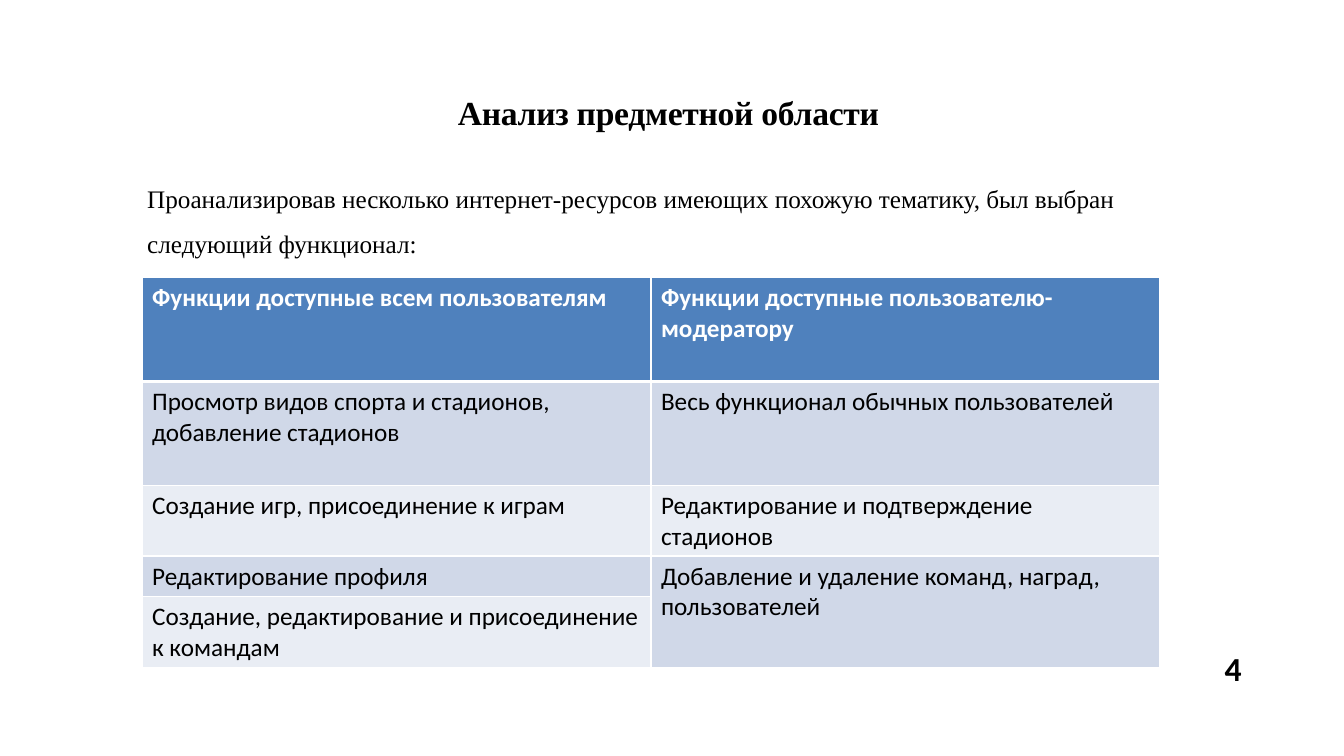
from dataclasses import dataclass

from lxml.etree import SubElement
from pptx import Presentation
from pptx.dml.color import RGBColor as RGB
from pptx.oxml.ns import qn
from pptx.util import Cm, Pt


@dataclass(frozen=True)
class Theme:
    black: str = "000000"
    white: str = "FFFFFF"
    header: str = "4F81BD"
    bands: tuple = ("D0D8E8", "E9EDF4")
    serif: str = "Times New Roman"
    sans: str = "Calibri"
    large: int = 24
    normal: int = 18


theme = Theme()


def write(tf, text, size=theme.normal, font=theme.sans, color=theme.black,
          bold=False, indent=0, line=None, before=None, spacing=None):
    """Put one formatted paragraph in a text frame; indent is in cm."""
    tf.word_wrap = True
    p = tf.paragraphs[0]
    if indent:
        p._p.get_or_add_pPr().set("marL", str(Cm(indent)))
    if line is not None:
        p.line_spacing = line
    if before is not None:
        p.space_before = Pt(before)
    r = p.add_run()
    r.text = text
    r.font.size, r.font.name, r.font.bold = Pt(size), font, bold
    r.font.color.rgb = RGB.from_string(color)
    if spacing is not None:
        r._r.get_or_add_rPr().set("spc", str(spacing))


def border(cell, **widths):
    """Draw white cell borders; widths in points by side: L, R, T, B."""
    for side, width in widths.items():
        ln = SubElement(cell._tc.get_or_add_tcPr(), qn(f"a:ln{side}"), w=str(Pt(width)))
        SubElement(SubElement(ln, qn("a:solidFill")), qn("a:srgbClr"), val=theme.white)


prs = Presentation()
prs.slide_width, prs.slide_height = Cm(33.87), Cm(19.05)
s = prs.slides.add_slide(prs.slide_layouts[6])

# Title, introduction and slide number
texts = [
    ((11.51, 2.31, 10.85, 1.07), "Анализ предметной области",
     dict(size=theme.large, font=theme.serif, bold=True, indent=0.03, before=1, spacing=-20)),
    ((2.57, 4.24, 28.22, 3.53),
     "Проанализировав несколько интернет-ресурсов имеющих похожую тематику, "
     "был выбран следующий функционал:",
     dict(font=theme.serif, indent=1.14, line=1.5, before=1.1)),
    ((30.76, 16.51, 0.64, 0.91), "4",
     dict(size=theme.large, bold=True, indent=0.1, line=Pt(23.8))),
]
for box, text, style in texts:
    tf = s.shapes.add_textbox(*map(Cm, box)).text_frame
    tf.margin_left = tf.margin_right = tf.margin_top = tf.margin_bottom = 0
    write(tf, text, **style)

# Table of functions; the last moderator cell spans two rows
functions = [
    ("Функции доступные всем пользователям", "Функции доступные пользователю-модератору"),
    ("Просмотр видов спорта и стадионов, добавление стадионов",
     "Весь функционал обычных пользователей"),
    ("Создание игр, присоединение к играм", "Редактирование и подтверждение стадионов"),
    ("Редактирование профиля", "Добавление и удаление команд, наград, пользователей"),
    ("Создание, редактирование и присоединение к командам", None),
]
row_heights = [2.62, 2.62, 1.78, 1.02, 1.78]
table = s.shapes.add_table(len(functions), 2, Cm(3.58), Cm(6.99),
                           Cm(25.65), Cm(sum(row_heights))).table
for row, height in zip(table.rows, row_heights):
    row.height = Cm(height)
table.cell(3, 1).merge(table.cell(4, 1))

for i, row in enumerate(functions):
    is_header = i == 0
    for j, text in enumerate(row):
        cell = table.cell(i, j)
        border(cell, L=1, R=1, T=3 if i == 1 else 1, B=3 if is_header else 1)
        cell.fill.solid()
        cell.fill.fore_color.rgb = RGB.from_string(
            theme.header if is_header else theme.bands[(i - 1) % 2])
        if text:
            write(cell.text_frame, text, bold=is_header,
                  color=theme.white if is_header else theme.black)

prs.save("out.pptx")
